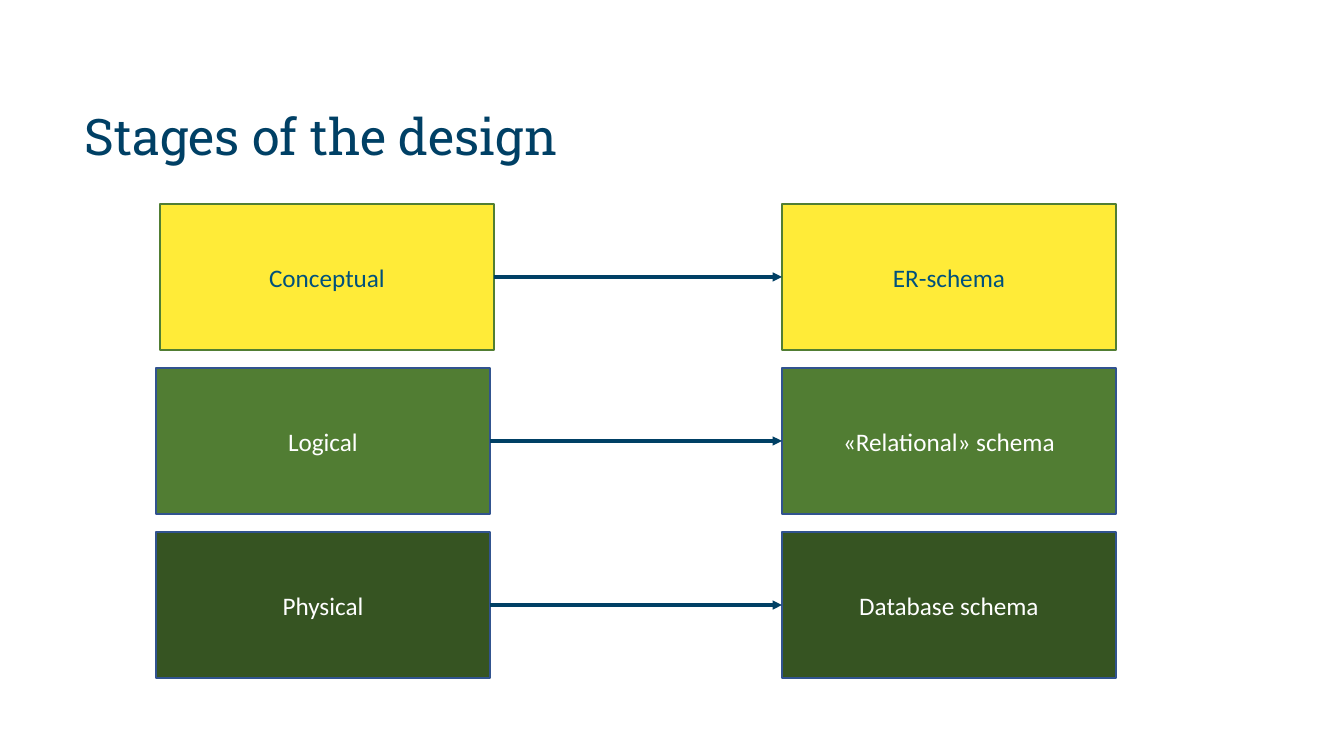
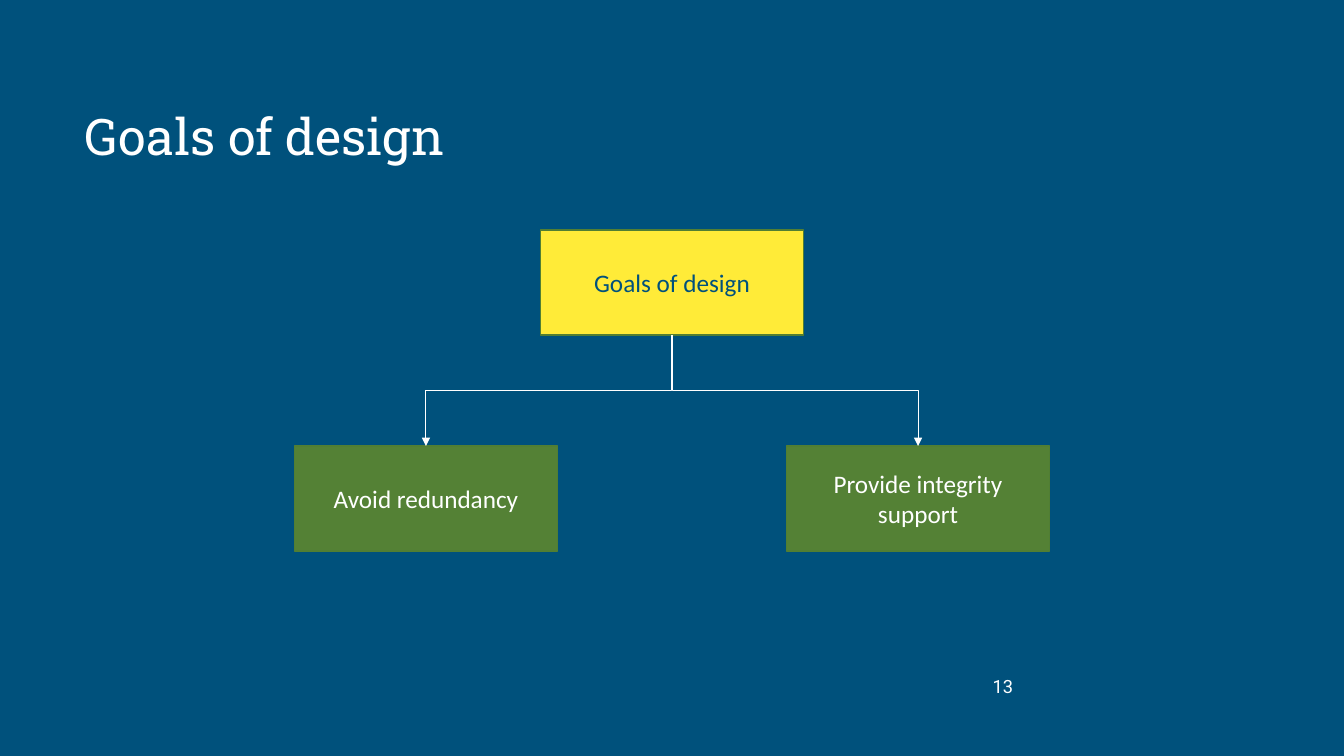
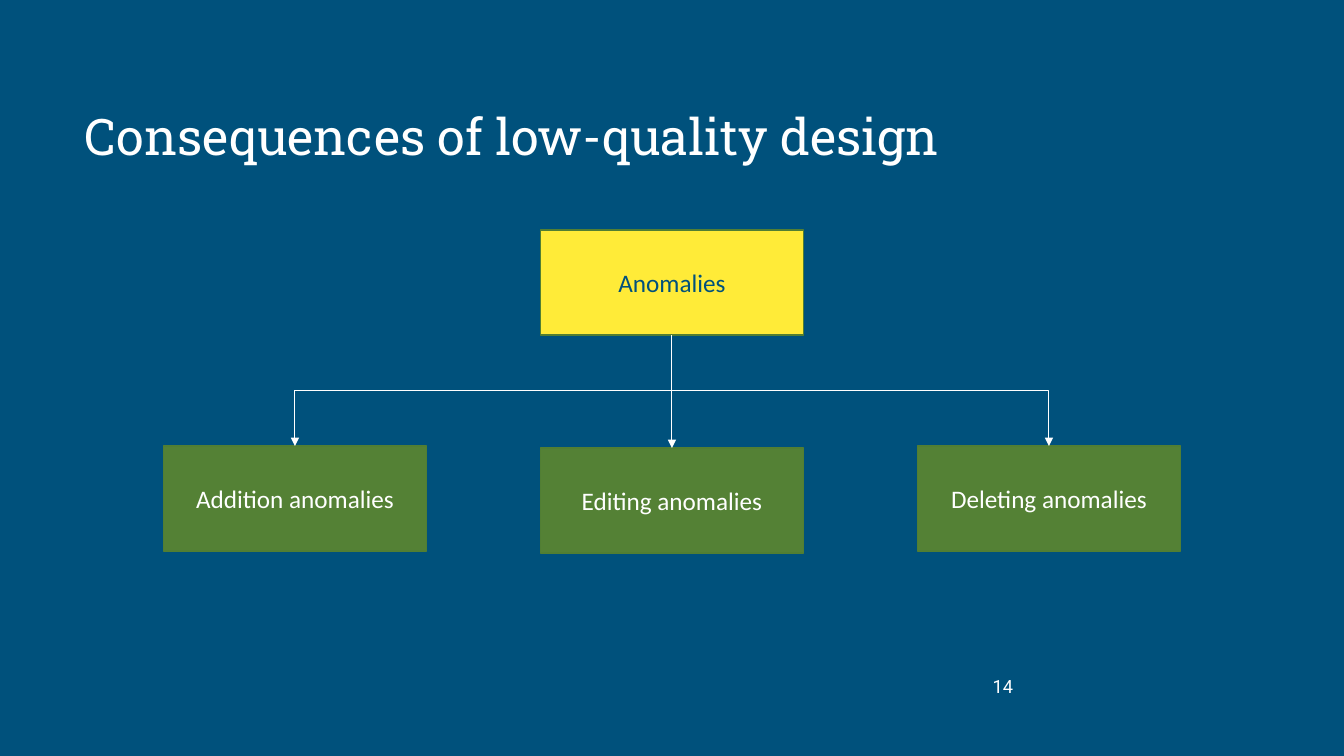
import pptx
import pptx.util
import pptx.dml.color
import pptx.enum.shapes
import pptx.enum.text
import pptx.oxml.ns
import lxml.etree

PAGE_WIDTH, PAGE_HEIGHT = 1344, 756
SCALE = 12192000 / PAGE_WIDTH
TOP, LEFT, BOTTOM, RIGHT = range(4)
COLOURS = {
    "white": "FFFFFF",
    "navy": "004065",
    "blue": "00517C",
    "yellow": "FFEB38",
    "green": "517D33",
    "leaf": "548135",
    "forest": "365422",
    "edge": "517E33",
    "blue edge": "31538F",
}
TITLE_BOX = (75, 67, 948, 145)
NUMBER_BOX = (947, 666, 76, 40)
STAGES_BOX = (156, 204, 960, 474)
TREE_BOX = (162, 230, 1020, 323)


def px(length):
    return pptx.util.Emu(round(length * SCALE))


def colour(name):
    return pptx.dml.color.RGBColor.from_string(COLOURS[name])


def write(shape, text, font, size, ink, align):
    frame = shape.text_frame
    frame.word_wrap = True
    frame.vertical_anchor = pptx.enum.text.MSO_ANCHOR.MIDDLE
    para = frame.paragraphs[0]
    para.text = text
    para.alignment = align
    para.font.name = font
    para.font.size = pptx.util.Pt(size)
    para.font.color.rgb = colour(ink)
    return para


def add_label(page, box, text, font, size, ink, align):
    label = page.shapes.add_textbox(*map(px, box))
    return write(label, text, font, size, ink, align)


def add_node(page, box, text, fill, edge, ink="white"):
    node = page.shapes.add_shape(
        pptx.enum.shapes.MSO_SHAPE.RECTANGLE, *map(px, box))
    node.shadow.inherit = False
    node.fill.solid()
    node.fill.fore_color.rgb = colour(fill)
    node.line.color.rgb = colour(edge)
    node.line.width = pptx.util.Pt(1)
    write(node, text, "Calibri", 18, ink, pptx.enum.text.PP_ALIGN.CENTER)
    return node


def add_arrow(page, kind, start, start_side, end, end_side, ink, weight):
    arrow = page.shapes.add_connector(kind, 0, 0, 0, 0)
    arrow.begin_connect(start, start_side)
    arrow.end_connect(end, end_side)
    arrow.line.color.rgb = colour(ink)
    arrow.line.width = pptx.util.Pt(weight)
    properties = arrow._element.spPr
    outline = properties.find(pptx.oxml.ns.qn("a:ln"))
    lxml.etree.SubElement(
        outline, pptx.oxml.ns.qn("a:tailEnd"), type="triangle")
    lxml.etree.SubElement(properties, pptx.oxml.ns.qn("a:effectLst"))
    return arrow


def turn_downward(elbow):
    frame = elbow._element.spPr.find(pptx.oxml.ns.qn("a:xfrm"))
    goes_left = elbow.begin_x > elbow.end_x
    left, top, width, height = elbow.left, elbow.top, elbow.width, elbow.height
    elbow.left = left + (width - height) // 2
    elbow.top = top + (height - width) // 2
    elbow.width, elbow.height = height, width
    frame.set("rot", str((90 if goes_left else 270) * 60000))
    frame.set("flipH", "0" if goes_left else "1")


def add_page(deck, title, background, ink, number=None):
    page = deck.slides.add_slide(deck.slide_layouts[6])
    page.background.fill.solid()
    page.background.fill.fore_color.rgb = colour(background)
    para = add_label(page, TITLE_BOX, title, "Roboto Slab", 36, ink,
                     pptx.enum.text.PP_ALIGN.LEFT)
    para.line_spacing = 0.9
    if number is not None:
        add_label(page, NUMBER_BOX, str(number), "Roboto", 13, ink,
                  pptx.enum.text.PP_ALIGN.RIGHT)
    return page


def add_stages(page, box, stages):
    left, top, width, height = box
    node_width, node_height = 334, 146
    pitch = (height - node_height) / (len(stages) - 1)
    for row, (stage, result, indent, fill, edge, ink) in enumerate(stages):
        y = top + row * pitch
        source, target = (
            add_node(page, (x, y, node_width, node_height),
                     text, fill, edge, ink)
            for x, text in ((left + indent, stage),
                            (left + width - node_width, result)))
        add_arrow(page, pptx.enum.shapes.MSO_CONNECTOR.STRAIGHT,
                  source, RIGHT, target, LEFT, "navy", 2.25)


def add_tree(page, box, root_text, children):
    left, top, width, height = box
    node_width, node_height = 263, 105
    centre = left + width / 2
    root = add_node(page, (centre - node_width / 2, top,
                           node_width, node_height),
                    root_text, "yellow", "edge", "blue")
    for text, offset, drop in children:
        child = add_node(page, (centre + offset - node_width / 2, top + drop,
                                node_width, node_height),
                         text, "leaf", "edge")
        kinds = pptx.enum.shapes.MSO_CONNECTOR
        arrow = add_arrow(page, kinds.ELBOW if offset else kinds.STRAIGHT,
                          root, BOTTOM, child, TOP, "white", 0.75)
        if offset:
            turn_downward(arrow)


def main():
    deck = pptx.Presentation()
    deck.slide_width, deck.slide_height = px(PAGE_WIDTH), px(PAGE_HEIGHT)

    page = add_page(deck, "Stages of the design", "white", "navy")
    add_stages(page, STAGES_BOX, [
        ("Conceptual", "ER-schema", 4, "yellow", "edge", "blue"),
        ("Logical", "«Relational» schema", 0, "green", "blue edge", "white"),
        ("Physical", "Database schema", 0, "forest", "blue edge", "white"),
    ])

    trees = [
        ("Goals of design", 13, "Goals of design", [
            ("Avoid redundancy", -246, 216),
            ("Provide integrity support", 246, 216),
        ]),
        ("Consequences of low-quality design", 14, "Anomalies", [
            ("Addition anomalies", -377, 216),
            ("Deleting anomalies", 377, 216),
            ("Editing anomalies", 0, 218),
        ]),
    ]
    for title, number, root_text, children in trees:
        page = add_page(deck, title, "blue", "white", number)
        add_tree(page, TREE_BOX, root_text, children)

    deck.save("out.pptx")


if __name__ == "__main__":
    main()
